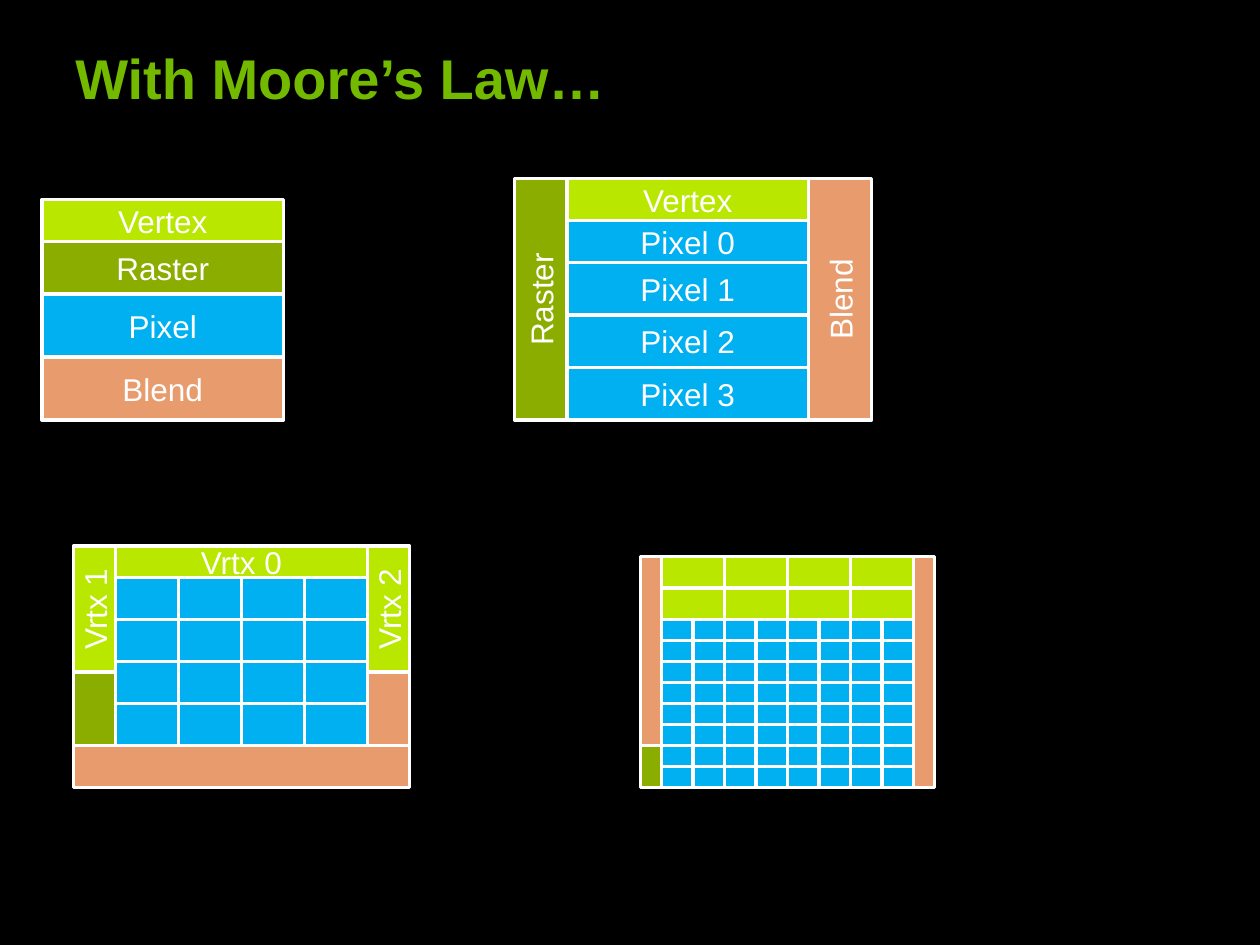
from dataclasses import dataclass

from pptx import Presentation, util as u
from pptx.dml.color import RGBColor
from pptx.enum import shapes, text


@dataclass(frozen=True)
class Theme:
    background: str = "000000"
    title: str = "73B900"
    vertex: str = "B9E700"
    raster: str = "8BAD00"
    pixel: str = "00B0F0"
    blend: str = "E89C6E"
    white: str = "FFFFFF"
    font: str = "Arial"
    title_size: int = 32
    label_size: int = 18
    border: int = 2


@dataclass(frozen=True)
class Block:
    fill: str
    col: int
    row: int
    cols: int
    rows: int
    label: str = ""
    turned: bool = False


T = Theme()
UNIT = u.Inches(10) // 120

SINGLE_PIPELINE = [
    Block(T.vertex, 4, 19, 23, 4, "Vertex"),
    Block(T.raster, 4, 23, 23, 5, "Raster"),
    Block(T.pixel, 4, 28, 23, 6, "Pixel"),
    Block(T.blend, 4, 34, 23, 6, "Blend"),
]
FOUR_PIXEL_UNITS = [
    Block(T.raster, 49, 17, 5, 23, "Raster", True),
    Block(T.vertex, 54, 17, 23, 4, "Vertex"),
    Block(T.pixel, 54, 21, 23, 4, "Pixel 0"),
    *(Block(T.pixel, 54, 20 + 5 * i, 23, 5, f"Pixel {i}") for i in (1, 2, 3)),
    Block(T.blend, 77, 17, 6, 23, "Blend", True),
]


def grid(fill: str, col: int, row: int, cols: int, rows: int,
         across: int, down: int) -> list[Block]:
    """Return a grid of equal blocks, row by row."""
    return [Block(fill, col + c * cols, row + r * rows, cols, rows)
            for r in range(down) for c in range(across)]


THREE_VERTEX_UNITS = [
    Block(T.raster, 7, 64, 4, 7),
    Block(T.vertex, 11, 52, 24, 3, "Vrtx 0"),
    Block(T.blend, 7, 71, 32, 4),
    Block(T.vertex, 35, 52, 4, 12, "Vrtx 2", True),
    Block(T.vertex, 7, 52, 4, 12, "Vrtx 1", True),
    *grid(T.pixel, 11, 55, 6, 4, across=4, down=4),
    Block(T.blend, 35, 64, 4, 7),
]
MANY_UNITS = [
    Block(T.raster, 61, 71, 2, 4),
    Block(T.blend, 61, 53, 2, 18),
    Block(T.blend, 87, 53, 2, 22),
    *grid(T.vertex, 63, 53, 6, 3, across=4, down=2),
    *grid(T.pixel, 63, 59, 3, 2, across=8, down=8),
]


def style(p, size: int, color: str, bold: bool = False) -> None:
    p.font.name = T.font
    p.font.size = u.Pt(size)
    p.font.bold = bold
    p.font.color.rgb = RGBColor.from_string(color)


def draw_title(s, words: str) -> None:
    box = s.shapes.add_textbox(6 * UNIT, u.Inches(0.3), 97 * UNIT, u.Inches(0.63))
    tf = box.text_frame
    tf.word_wrap = True
    tf.text = words
    style(tf.paragraphs[0], T.title_size, T.title, bold=True)


def draw_block(s, b: Block) -> None:
    w, h = b.cols, b.rows
    if b.turned:
        w, h = h, w
    left, top = b.col + (b.cols - w) / 2, b.row + (b.rows - h) / 2
    sp = s.shapes.add_shape(shapes.MSO_SHAPE.RECTANGLE, int(left * UNIT),
                            int(top * UNIT), w * UNIT, h * UNIT)
    sp.rotation = 270 if b.turned else 0
    sp.shadow.inherit = False
    sp.fill.solid()
    sp.fill.fore_color.rgb = RGBColor.from_string(b.fill)
    sp.line.color.rgb = RGBColor.from_string(T.white)
    sp.line.width = u.Pt(T.border)
    if b.label:
        tf = sp.text_frame
        tf.text = b.label
        tf.vertical_anchor = text.MSO_ANCHOR.MIDDLE
        p = tf.paragraphs[0]
        p.alignment = text.PP_ALIGN.CENTER
        style(p, T.label_size, T.white)


def main() -> None:
    """Build the slide of four chip layouts on a grid of 120 columns and 90 rows."""
    prs = Presentation()
    prs.slide_width, prs.slide_height = 120 * UNIT, 90 * UNIT
    s = prs.slides.add_slide(prs.slide_layouts[6])
    s.background.fill.solid()
    s.background.fill.fore_color.rgb = RGBColor.from_string(T.background)
    draw_title(s, "With Moore’s Law…")
    for layout in (SINGLE_PIPELINE, FOUR_PIXEL_UNITS, THREE_VERTEX_UNITS, MANY_UNITS):
        for block in layout:
            draw_block(s, block)
    prs.save("out.pptx")


if __name__ == "__main__":
    main()
